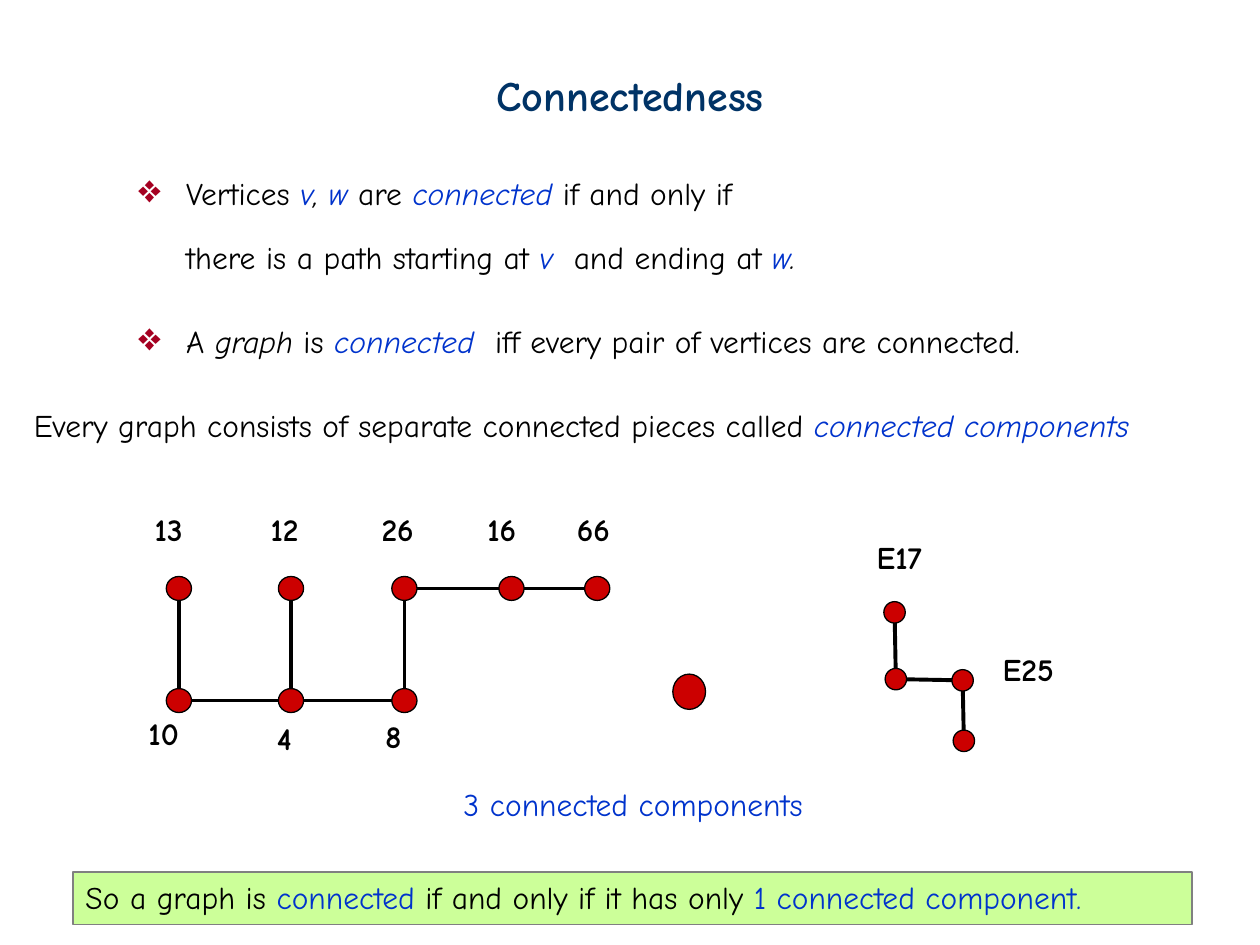
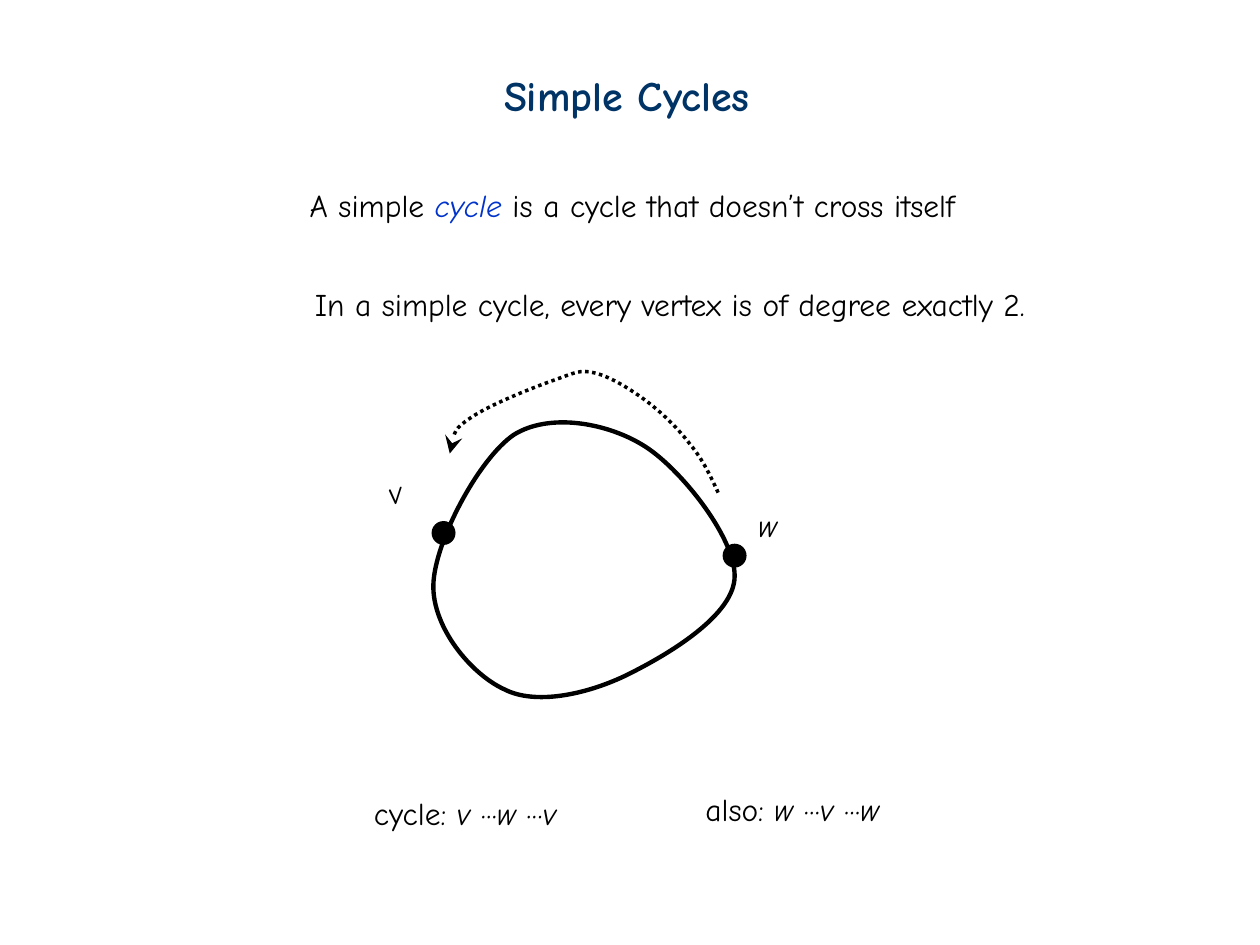
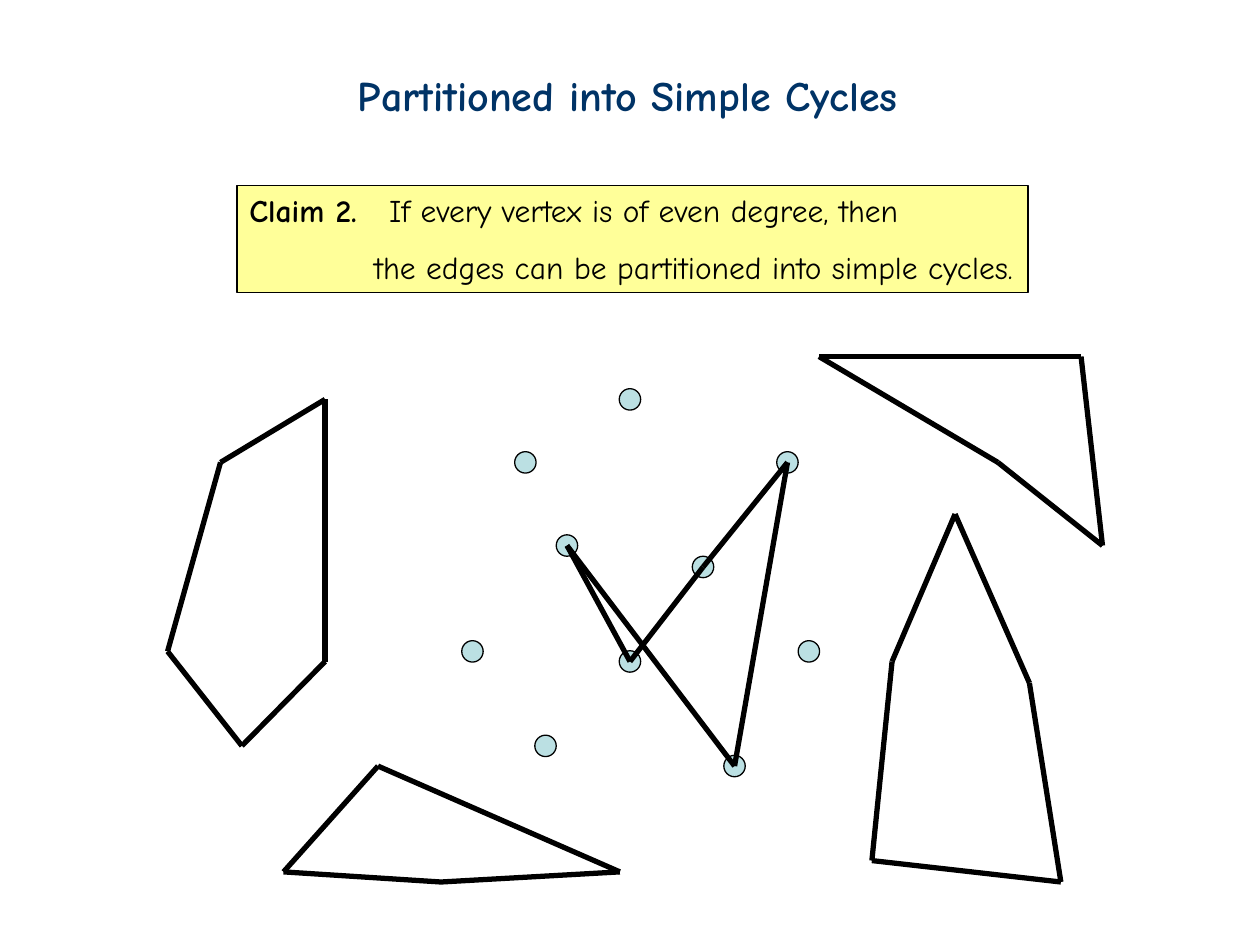
"""Build three slides on connected graphs and simple cycles."""
from dataclasses import dataclass
from itertools import pairwise
from math import hypot
from typing import NamedTuple

from lxml.etree import Element, SubElement
from pptx import Presentation
from pptx.dml.color import RGBColor as Rgb
from pptx.enum.dml import MSO_LINE as Dash
from pptx.enum.shapes import MSO_CONNECTOR as Link, MSO_SHAPE as Kind
from pptx.enum.text import MSO_ANCHOR as Anchor, MSO_AUTO_SIZE as Fit, PP_ALIGN as Align
from pptx.oxml.ns import qn
from pptx.util import Inches, Pt

FONT = "Comic Neue"
HUES = {
    "ink": "000000", "title": "003366", "blue": "0033CC", "mark": "A50021",
    "red": "CC0000", "aqua": "BBE0E3", "lime": "CCFF99", "lemon": "FFFF99",
    "gray": "808080",
}
TITLE_ONLY = 5
Point = tuple[float, float]


class Box(NamedTuple):
    left: float
    top: float
    width: float
    height: float = 0.4


class Run(NamedTuple):
    text: str
    hue: str = "ink"
    slant: bool = False
    bold: bool = False


class Tag(NamedTuple):
    text: str
    left: float
    top: float
    width: float = 0.5


@dataclass
class Para:
    runs: list[Run]
    lead: float | None = None
    before: float = 0
    indent: float = 0
    bullet: str = ""
    tab: float = 0


def rgb(hue: str) -> Rgb:
    return Rgb.from_string(HUES[hue])


def shape_para(para, spec: Para) -> None:
    if spec.lead:
        para.line_spacing = spec.lead
    if spec.before:
        para.space_before = Pt(spec.before)
    props = para._p.get_or_add_pPr()
    if spec.indent:
        props.set("marL", str(Inches(spec.indent)))
        props.set("indent", str(-Inches(spec.indent) if spec.bullet else 0))
    if spec.bullet:
        tint = SubElement(props, qn("a:buClr"))
        SubElement(tint, qn("a:srgbClr"), val=HUES["mark"])
        SubElement(props, qn("a:buSzPct"), val="125000")
        SubElement(props, qn("a:buChar"), char=spec.bullet)
    if spec.tab:
        stops = SubElement(props, qn("a:tabLst"))
        SubElement(stops, qn("a:tab"), pos=str(Inches(spec.tab)), algn="l")


def write(frame, paras: list[Para], size: float = 18, wrap: bool = False) -> None:
    frame.word_wrap = wrap
    frame.auto_size = Fit.NONE if wrap else Fit.SHAPE_TO_FIT_TEXT
    frame.vertical_anchor = Anchor.TOP
    for i, spec in enumerate(paras):
        para = frame.add_paragraph() if i else frame.paragraphs[0]
        para.alignment = Align.LEFT
        shape_para(para, spec)
        for piece in spec.runs:
            run = para.add_run()
            run.text = piece.text
            font = run.font
            font.name, font.size = FONT, Pt(size)
            font.bold, font.italic = piece.bold, piece.slant
            font.color.rgb = rgb(piece.hue)


def add_text(slide, box: Box, paras: list[Para], wrap: bool = False, turn: float = 0) -> None:
    shape = slide.shapes.add_textbox(*map(Inches, box))
    shape.rotation = turn
    write(shape.text_frame, paras, wrap=wrap)


def add_line(slide, box: Box, *runs: Run, **look) -> None:
    add_text(slide, box, [Para(list(runs))], **look)


def add_tags(slide, tags: list[Tag]) -> None:
    for tag in tags:
        add_line(slide, Box(tag.left, tag.top, tag.width), Run(tag.text, bold=True))


def add_solid(slide, kind: Kind, box: Box, fill: str, line: str | None = "ink"):
    shape = slide.shapes.add_shape(kind, *map(Inches, box))
    shape.shadow.inherit = False
    shape.fill.solid()
    shape.fill.fore_color.rgb = rgb(fill)
    if line:
        shape.line.color.rgb = rgb(line)
        shape.line.width = Pt(0.75)
    else:
        shape.line.fill.background()
    return shape


def add_dot(slide, mid: Point, wide: float, high: float, fill: str, line: str | None = "ink") -> None:
    box = Box(mid[0] - wide / 2, mid[1] - high / 2, wide, high)
    add_solid(slide, Kind.OVAL, box, fill, line)


def add_edge(slide, start: Point, end: Point, weight: float, rim: float = 0) -> None:
    (x1, y1), (x2, y2) = start, end
    span = hypot(x2 - x1, y2 - y1)
    dx, dy = (x2 - x1) * rim / span, (y2 - y1) * rim / span
    ends = (x1 + dx, y1 + dy, x2 - dx, y2 - dy)
    edge = slide.shapes.add_connector(Link.STRAIGHT, *map(Inches, ends))
    edge.line.color.rgb = rgb("ink")
    edge.line.width = Pt(weight)
    SubElement(edge._element.spPr, qn("a:effectLst"))


def add_graph(slide, nodes: list[Point], links: list[tuple[int, int]],
              size: tuple[float, float], weight: float) -> None:
    for node in nodes:
        add_dot(slide, node, *size, "red")
    for a, b in links:
        add_edge(slide, nodes[a], nodes[b], weight, size[0] / 2)


def add_curve(slide, points: list[Point], weight: float, close: bool = False):
    """Draw cubic curves through a start point and triples of control points."""
    first, *rest = [(Inches(x), Inches(y)) for x, y in points]
    pen = slide.shapes.build_freeform(*first)
    pen.add_line_segments(rest, close=close)
    shape = pen.convert_to_shape()
    shape.shadow.inherit = False
    shape.fill.background()
    shape.line.color.rgb = rgb("ink")
    shape.line.width = Pt(weight)
    steps = list(shape._element.iter(qn("a:lnTo")))[:len(rest)]
    for i in range(0, len(rest), 3):
        bend = Element(qn("a:cubicBezTo"))
        steps[i].addprevious(bend)
        for step in steps[i:i + 3]:
            bend.append(step[0])
            step.getparent().remove(step)
    return shape


def start_slide(deck, title: str, left: float, width: float):
    slide = deck.slides.add_slide(deck.slide_layouts[TITLE_ONLY])
    head = slide.shapes.title
    head.left, head.top, head.width, head.height = map(Inches, (left, 0.5, width, 0.5))
    write(head.text_frame, [Para([Run(title, "title", bold=True)])], size=24)
    return slide


def show_parts(deck) -> None:
    slide = start_slide(deck, "Connectedness", 3.84, 2.4)
    add_text(slide, Box(1, 1.33, 8, 1.5), [
        Para([Run("Vertices "), Run("v", "blue", True), Run(", ", slant=True),
              Run("w ", "blue", True), Run("are "), Run("connected", "blue", True),
              Run(" if and only if")], indent=0.38, bullet="❖"),
        Para([Run("there is a path starting at "), Run("v", "blue", True),
              Run("  and ending at "), Run("w", "blue", True), Run(".", slant=True)],
             lead=1.5, before=4.5, indent=0.38),
        Para([Run("A "), Run("graph ", slant=True), Run("is "),
              Run("connected", "blue", True),
              Run("  iff every pair of vertices are connected.")],
             lead=2.0, before=4.5, indent=0.38, bullet="❖"),
    ], wrap=True)
    add_line(slide, Box(0.17, 3.17, 9.67, 0.42),
             Run("Every graph consists of separate connected pieces called "),
             Run("connected components", "blue", True), wrap=True)

    add_dot(slide, (5.47, 5.49), 0.26, 0.28, "red")
    stair = [(7.1, 4.86), (7.11, 5.39), (7.64, 5.4), (7.65, 5.88)]
    add_graph(slide, stair, list(pairwise(range(4))), (0.17, 0.17), 2.25)
    high, low = 4.67, 5.56
    tree = [(x, high) for x in (1.42, 2.31, 3.21, 4.06, 4.74)]
    tree += [(x, low) for x in (1.42, 2.31, 3.21)]
    links = [(0, 5), (5, 6), (6, 1), (6, 7), (7, 2), (2, 3), (3, 4)]
    add_graph(slide, tree, links, (0.2, 0.19), 2)
    tops = zip(("13", "12", "26", "16", "66"), (1.13, 2.05, 2.93, 3.77, 4.48))
    add_tags(slide, [Tag(name, left, 4) for name, left in tops])
    add_tags(slide, [
        Tag("10", 1.08, 5.62), Tag("4", 2.1, 5.66, 0.36), Tag("8", 2.96, 5.64, 0.36),
        Tag("E17", 6.86, 4.22, 0.66), Tag("E25", 7.86, 5.11, 0.66),
    ])

    add_line(slide, Box(3.58, 6.18, 2.95), Run("3 connected components", "blue"))
    band = add_solid(slide, Kind.RECTANGLE, Box(0.58, 6.92, 8.88, 0.42), "lime", "gray")
    write(band.text_frame, [Para([
        Run("So a graph is "), Run("connected ", "blue"),
        Run("if and only if it has only "), Run("1 connected component.", "blue"),
    ])], wrap=True)


def show_cycle(deck) -> None:
    slide = start_slide(deck, "Simple Cycles", 3.9, 2.25)
    add_line(slide, Box(2.36, 1.43, 5.4), Run("A simple "), Run("cycle", "blue", True),
             Run(" is a cycle that doesn’t cross itself"))
    add_line(slide, Box(2.4, 2.21, 5.9),
             Run("In a simple cycle, every vertex is of degree exactly 2."))
    add_curve(slide, [
        (3.44, 4.64), (3.45, 4.3), (3.8, 3.64), (4.08, 3.45),
        (4.37, 3.27), (4.84, 3.36), (5.13, 3.55),
        (5.42, 3.74), (5.86, 4.3), (5.83, 4.6),
        (5.8, 4.91), (5.26, 5.22), (4.95, 5.37),
        (4.65, 5.51), (4.25, 5.6), (4, 5.47),
        (3.74, 5.35), (3.43, 4.98), (3.44, 4.64),
    ], 2.5, close=True)
    for mid in ((5.83, 4.41), (3.52, 4.23)):
        add_dot(slide, mid, 0.19, 0.19, "ink", None)
    trail = add_curve(slide, [
        (5.7, 3.91), (5.64, 3.78), (5.58, 3.65), (5.48, 3.53),
        (5.39, 3.41), (5.27, 3.29), (5.14, 3.19),
        (5.02, 3.1), (4.85, 2.99), (4.72, 2.96),
        (4.6, 2.93), (4.56, 2.96), (4.39, 3.02),
        (4.22, 3.08), (3.87, 3.22), (3.73, 3.32),
        (3.6, 3.41), (3.58, 3.5), (3.57, 3.6),
    ], 2)
    trail.line.dash_style = Dash.ROUND_DOT
    SubElement(trail.line._get_or_add_ln(), qn("a:tailEnd"), type="stealth", w="lg", len="lg")
    add_line(slide, Box(2.98, 3.7, 0.32), Run("v", slant=True), turn=346.4)
    add_line(slide, Box(5.92, 3.97, 0.38), Run("w", slant=True))
    for box, lead, a, b in ((Box(2.87, 6.25, 1.7), "cycle:", "v", "w"),
                            (Box(5.5, 6.22, 1.65), "also:", "w", "v")):
        add_line(slide, box, Run(lead), Run(f" {a}", slant=True), Run(" ···"),
                 Run(f"{b} ", slant=True), Run("···"), Run(a, slant=True))


def show_split(deck) -> None:
    slide = start_slide(deck, "Partitioned into Simple Cycles", 2.74, 4.55)
    claim = add_solid(slide, Kind.RECTANGLE, Box(1.88, 1.47, 6.28, 0.85), "lemon")
    write(claim.text_frame, [
        Para([Run("Claim 2.", bold=True),
              Run("\tIf every vertex is of even degree, then")], tab=1.11),
        Para([Run("the edges can be partitioned into simple cycles.")],
             lead=1.5, indent=0.99),
    ])
    dots = [(5, 3.17), (4.17, 3.67), (4.5, 4.33), (5.58, 4.5), (5, 5.25),
            (3.75, 5.17), (6.42, 5.17), (6.25, 3.67), (5.83, 6.08), (4.33, 5.92)]
    for dot in dots:
        add_dot(slide, dot, 0.17, 0.17, "aqua")
    loops = [
        [dots[i] for i in (2, 4, 3, 7, 8)],
        [(1.33, 5.17), (1.92, 5.92), (2.58, 5.25), (2.58, 3.17), (1.75, 3.67)],
        [(3, 6.08), (2.25, 6.92), (3.5, 7), (4.92, 6.92)],
        [(8.75, 4.33), (8.58, 2.83), (6.5, 2.83), (7.92, 3.67)],
        [(8.42, 7), (8.17, 5.42), (7.58, 4.08), (7.08, 5.25), (6.92, 6.83)],
    ]
    for loop in loops:
        for start, end in pairwise(loop + loop[:1]):
            add_edge(slide, start, end, 3)


def main() -> None:
    deck = Presentation()
    deck.slide_width, deck.slide_height = Inches(10), Inches(7.5)
    for show in (show_parts, show_cycle, show_split):
        show(deck)
    deck.save("out.pptx")


if __name__ == "__main__":
    main()
